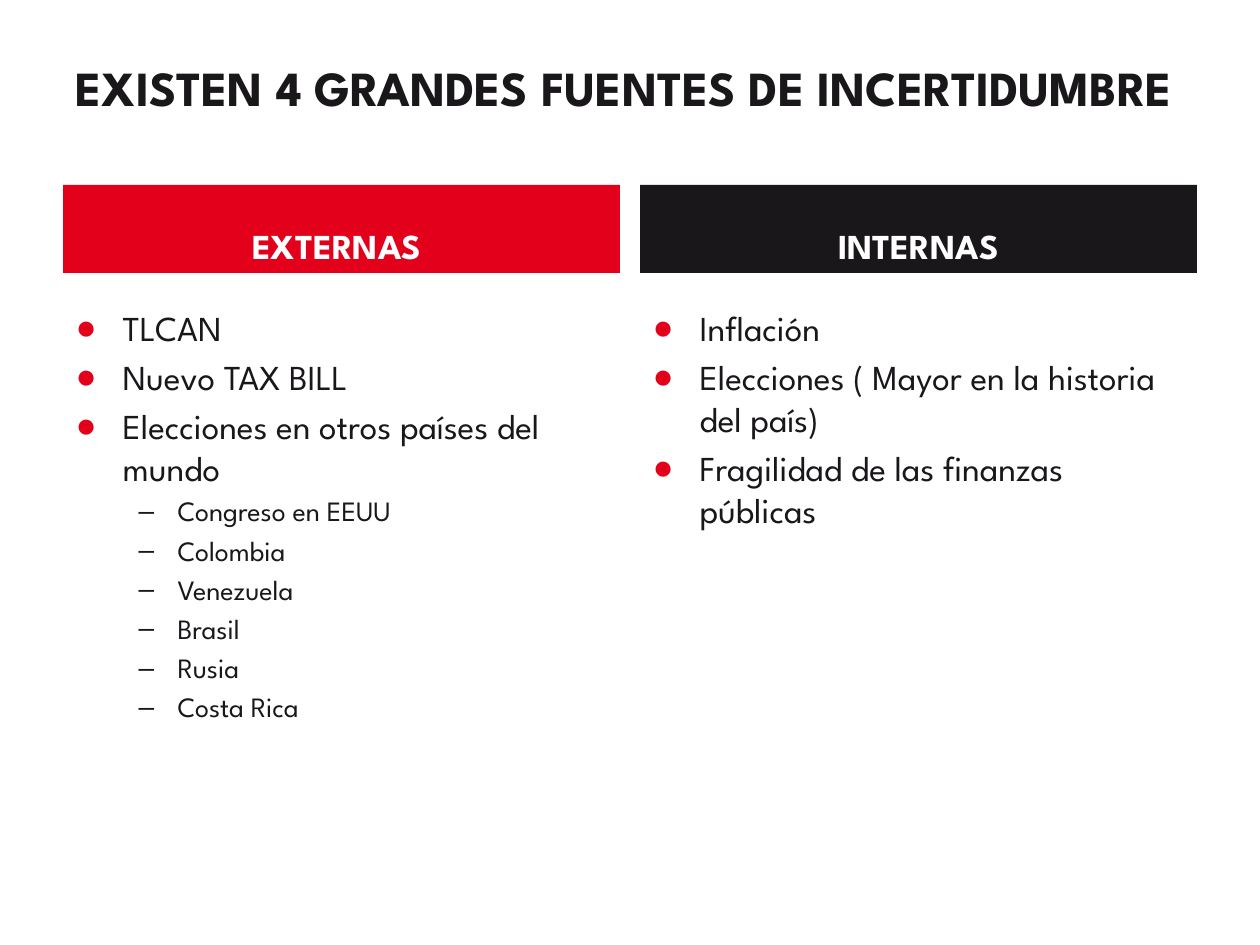
import lxml.etree
import pptx
import pptx.dml.color
import pptx.enum.text
import pptx.oxml.ns
import pptx.util

PX = 914400 / 126
FONT = "League Spartan"
COLORS = {"red": "E2001A", "black": "1A171B", "white": "FFFFFF"}
ALIGN = pptx.enum.text.PP_ALIGN
ANCHOR = pptx.enum.text.MSO_ANCHOR

TITLE = "EXISTEN 4 GRANDES FUENTES DE INCERTIDUMBRE"
COLUMNS = [
    ("EXTERNAS ", "red", [
        (0, "TLCAN"),
        (0, "Nuevo TAX BILL"),
        (0, "Elecciones en otros países del mundo"),
        (1, "Congreso en EEUU"),
        (1, "Colombia"),
        (1, "Venezuela"),
        (1, "Brasil"),
        (1, "Rusia"),
        (1, "Costa Rica"),
    ]),
    ("INTERNAS", "black", [
        (0, "Inflación"),
        (0, "Elecciones ( Mayor en la historia del país)"),
        (0, "Fragilidad de las finanzas públicas"),
    ]),
]
# For each level: bullet, bullet colour, left margin px, hanging px, points
LEVELS = [("●", "red", 47, 47, 20), ("–", "black", 102, 39, 16)]


def emu(px):
    return pptx.util.Emu(round(px * PX))


def rgb(name):
    return pptx.dml.color.RGBColor.from_string(COLORS[name])


def place(holder, left, top, width, height, anchor):
    holder.left, holder.top = emu(left), emu(top)
    holder.width, holder.height = emu(width), emu(height)
    frame = holder.text_frame
    frame.word_wrap = True
    frame.auto_size = pptx.enum.text.MSO_AUTO_SIZE.NONE
    frame.vertical_anchor = anchor
    return frame


def style(para, size, color, bold=False):
    para.font.name = FONT
    para.font.size = pptx.util.Pt(size)
    para.font.bold = bold
    para.font.color.rgb = rgb(color)


def add_bullet(para, char, color, margin, hanging):
    props = para._p.get_or_add_pPr()
    props.set("marL", str(emu(margin)))
    props.set("indent", str(-emu(hanging)))
    qn = pptx.oxml.ns.qn
    fill = lxml.etree.SubElement(props, qn("a:buClr"))
    lxml.etree.SubElement(fill, qn("a:srgbClr"), val=COLORS[color])
    lxml.etree.SubElement(props, qn("a:buFont"), typeface="Arial")
    lxml.etree.SubElement(props, qn("a:buChar"), char=char)


def fill_title(holder, left, top, width, height):
    frame = place(holder, left, top, width, height, ANCHOR.MIDDLE)
    frame.text = TITLE
    para = frame.paragraphs[0]
    para.alignment = ALIGN.LEFT
    style(para, 28, "black", bold=True)


def fill_heading(holder, text, color, left, top, width, height):
    frame = place(holder, left, top, width, height, ANCHOR.BOTTOM)
    holder.fill.solid()
    holder.fill.fore_color.rgb = rgb(color)
    frame.text = text
    para = frame.paragraphs[0]
    para.alignment = ALIGN.CENTER
    para.space_before = pptx.util.Pt(0)
    style(para, 20, "white", bold=True)


def fill_list(holder, items, left, top, width, height):
    frame = place(holder, left, top, width, height, ANCHOR.TOP)
    frame.text = "\n".join(text for _, text in items)
    for number, (para, (level, _)) in enumerate(zip(frame.paragraphs, items)):
        char, color, margin, hanging, size = LEVELS[level]
        para.level = level
        para.space_before = pptx.util.Pt(size * 0.2 if number else 0)
        add_bullet(para, char, color, margin, hanging)
        style(para, size, "black")


def fill_column(heading, body, column, left, top, width, height):
    """Place a coloured heading with its list below it."""
    text, color, items = column
    heading_height, gap = 88, 27
    offset = heading_height + gap
    fill_heading(heading, text, color, left, top, width, heading_height)
    fill_list(body, items, left, top + offset, width, height - offset)


def main():
    deck = pptx.Presentation()
    deck.slide_width, deck.slide_height = emu(1260), emu(945)
    page = deck.slides.add_slide(deck.slide_layouts.get_by_name("Comparison"))
    title, *holders = page.placeholders
    margin, width, gap = 63, 557, 20
    fill_title(title, margin, 38, 2 * width + gap, 97)
    for number, column in enumerate(COLUMNS):
        heading, body = holders[2 * number:2 * number + 2]
        left = margin + number * (width + gap)
        fill_column(heading, body, column, left, 185, width, 659)
    deck.save("out.pptx")


if __name__ == "__main__":
    main()
